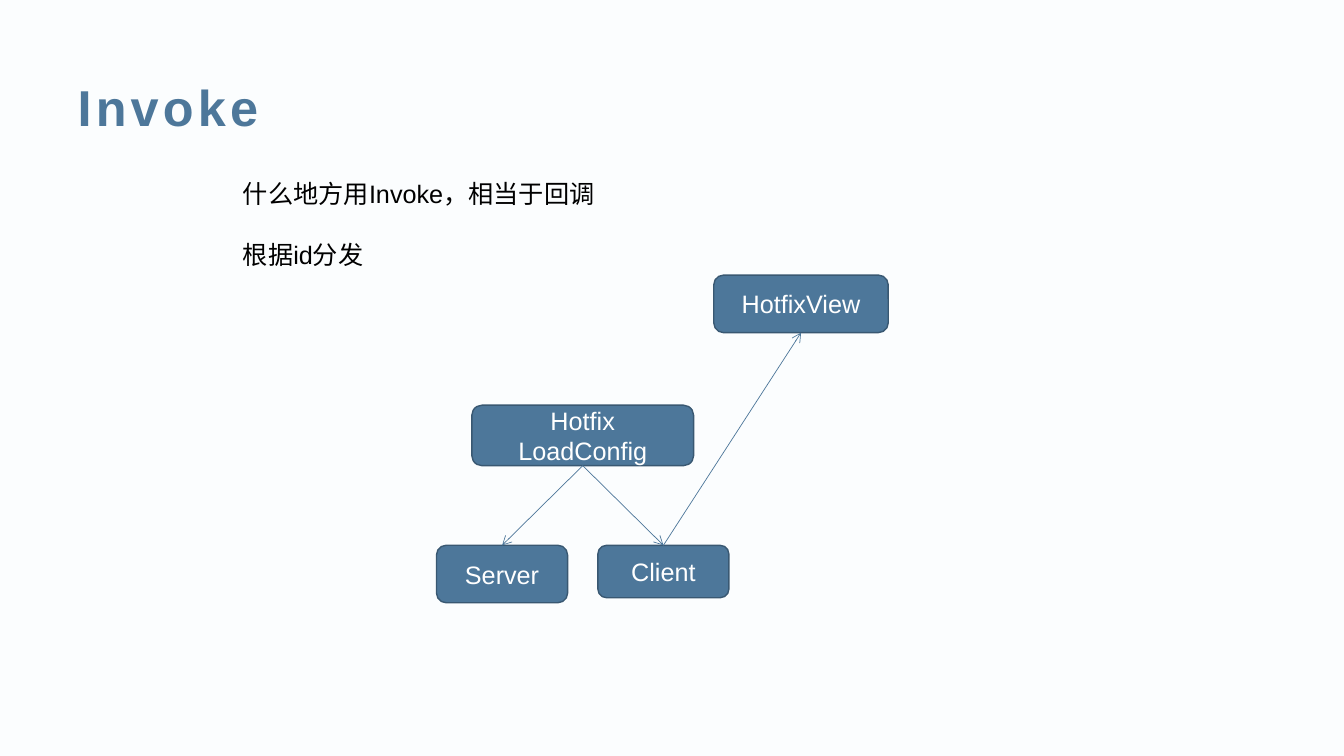
"""Build the Invoke slide with its hotfix dispatch diagram."""
from dataclasses import dataclass

from lxml import etree
from pptx import Presentation
from pptx.dml.color import RGBColor
from pptx.enum.shapes import MSO_CONNECTOR, MSO_SHAPE
from pptx.enum.text import MSO_ANCHOR, MSO_AUTO_SIZE, PP_ALIGN
from pptx.oxml.ns import qn
from pptx.util import Inches, Pt

STRAIGHT = MSO_CONNECTOR.STRAIGHT
ROUNDED = MSO_SHAPE.ROUNDED_RECTANGLE
MIDDLE, TOP = MSO_ANCHOR.MIDDLE, MSO_ANCHOR.TOP
LEFT, CENTER = PP_ALIGN.LEFT, PP_ALIGN.CENTER
FIXED = MSO_AUTO_SIZE.NONE
TOP_SIDE, BOTTOM_SIDE = 0, 2
TITLE_AND_CONTENT = 1
CELL = Inches(0.1)


@dataclass(frozen=True)
class Theme:
    """Colours, type sizes and line widths of the slide."""
    font: str = "Arial"
    background: RGBColor = RGBColor(0xFB, 0xFD, 0xFE)
    accent: RGBColor = RGBColor(0x4D, 0x77, 0x9A)
    outline: RGBColor = RGBColor(0x39, 0x58, 0x72)
    ink: RGBColor = RGBColor(0, 0, 0)
    paper: RGBColor = RGBColor(0xFF, 0xFF, 0xFF)
    title_size: Pt = Pt(36)
    text_size: Pt = Pt(18)
    paragraph_gap: Pt = Pt(22)
    outline_width: Pt = Pt(1)
    arrow_width: Pt = Pt(0.5)


def apply(target, values):
    """Set each named attribute on the target."""
    for name, value in values.items():
        setattr(target, name, value)


class DiagramSlide:
    """Draws elements on one slide, on a grid of tenth-inch cells."""

    def __init__(self, presentation, theme):
        """Add a slide with the theme's background."""
        self.theme = theme
        layout = presentation.slide_layouts[TITLE_AND_CONTENT]
        self.slide = presentation.slides.add_slide(layout)
        fill = self.slide.background.fill
        fill.solid()
        fill.fore_color.rgb = theme.background

    def place(self, shape, column, row, columns, rows):
        """Move a shape to its cells."""
        apply(shape, {"left": int(column * CELL), "top": int(row * CELL),
                      "width": int(columns * CELL), "height": int(rows * CELL)})

    def set_text(self, shape, lines, size, color, anchor, alignment, bold=False):
        """Fill a shape with formatted paragraphs and return them."""
        frame = shape.text_frame
        frame.text = "\n".join(lines)
        apply(frame, {"word_wrap": True, "auto_size": FIXED,
                      "vertical_anchor": anchor})
        for paragraph in frame.paragraphs:
            apply(paragraph, {"alignment": alignment, "space_before": Pt(0)})
            for run in paragraph.runs:
                apply(run.font, {"name": self.theme.font, "size": size, "bold": bold})
                run.font.color.rgb = color
        return frame.paragraphs

    def title(self, text, *cells):
        """Set the widely spaced title."""
        shape = self.slide.shapes.title
        self.place(shape, *cells)
        paragraphs = self.set_text(shape, [text], self.theme.title_size,
                                   self.theme.accent, MIDDLE, LEFT, bold=True)
        paragraphs[0].runs[0].font._element.set("spc", "300")

    def body(self, lines, *cells):
        """Set plain paragraphs without bullets."""
        shape = self.slide.placeholders[1]
        self.place(shape, *cells)
        for paragraph in self.set_text(shape, lines, self.theme.text_size,
                                       self.theme.ink, TOP, LEFT):
            paragraph.space_after = self.theme.paragraph_gap
            properties = paragraph._p.get_or_add_pPr()
            properties.set("marL", "0")
            properties.set("indent", "0")
            etree.SubElement(properties, qn("a:buNone"))

    def box(self, text, *cells):
        """Draw a rounded box with a centred label."""
        shape = self.slide.shapes.add_shape(ROUNDED, 0, 0, CELL, CELL)
        self.place(shape, *cells)
        shape.shadow.inherit = False
        shape.fill.solid()
        shape.fill.fore_color.rgb = self.theme.accent
        shape.line.color.rgb = self.theme.outline
        shape.line.width = self.theme.outline_width
        self.set_text(shape, [text], self.theme.text_size, self.theme.paper,
                      MIDDLE, CENTER)
        return shape

    def arrow(self, source, source_side, target, target_side):
        """Join two boxes with an open-headed arrow."""
        connector = self.slide.shapes.add_connector(STRAIGHT, 0, 0, 0, 0)
        connector.begin_connect(source, source_side)
        connector.end_connect(target, target_side)
        connector.line.color.rgb = self.theme.accent
        connector.line.width = self.theme.arrow_width
        properties = connector._element.spPr
        etree.SubElement(properties.find(qn("a:ln")), qn("a:tailEnd"), type="arrow")
        etree.SubElement(properties, qn("a:effectLst"))


def main():
    """Build and save the presentation."""
    presentation = Presentation()
    apply(presentation, {"slide_width": Inches(13.33), "slide_height": Inches(7.5)})
    diagram = DiagramSlide(presentation, Theme())
    diagram.title("Invoke", 6.7, 6.7, 122.8, 7.7)
    diagram.body(["什么地方用Invoke，相当于回调", "根据id分发"], 23.1, 17.2, 64.9, 10.1)
    load_config = diagram.box("Hotfix LoadConfig", 46.8, 40.2, 22, 6)
    server = diagram.box("Server", 43.3, 54.1, 13, 5.7)
    client = diagram.box("Client", 59.3, 54.1, 13, 5.2)
    view = diagram.box("HotfixView", 70.8, 27.3, 17.3, 5.7)
    for source, source_side, target, target_side in (
            (load_config, BOTTOM_SIDE, client, TOP_SIDE),
            (client, TOP_SIDE, view, BOTTOM_SIDE),
            (load_config, BOTTOM_SIDE, server, TOP_SIDE)):
        diagram.arrow(source, source_side, target, target_side)
    presentation.save("out.pptx")


if __name__ == "__main__":
    main()
